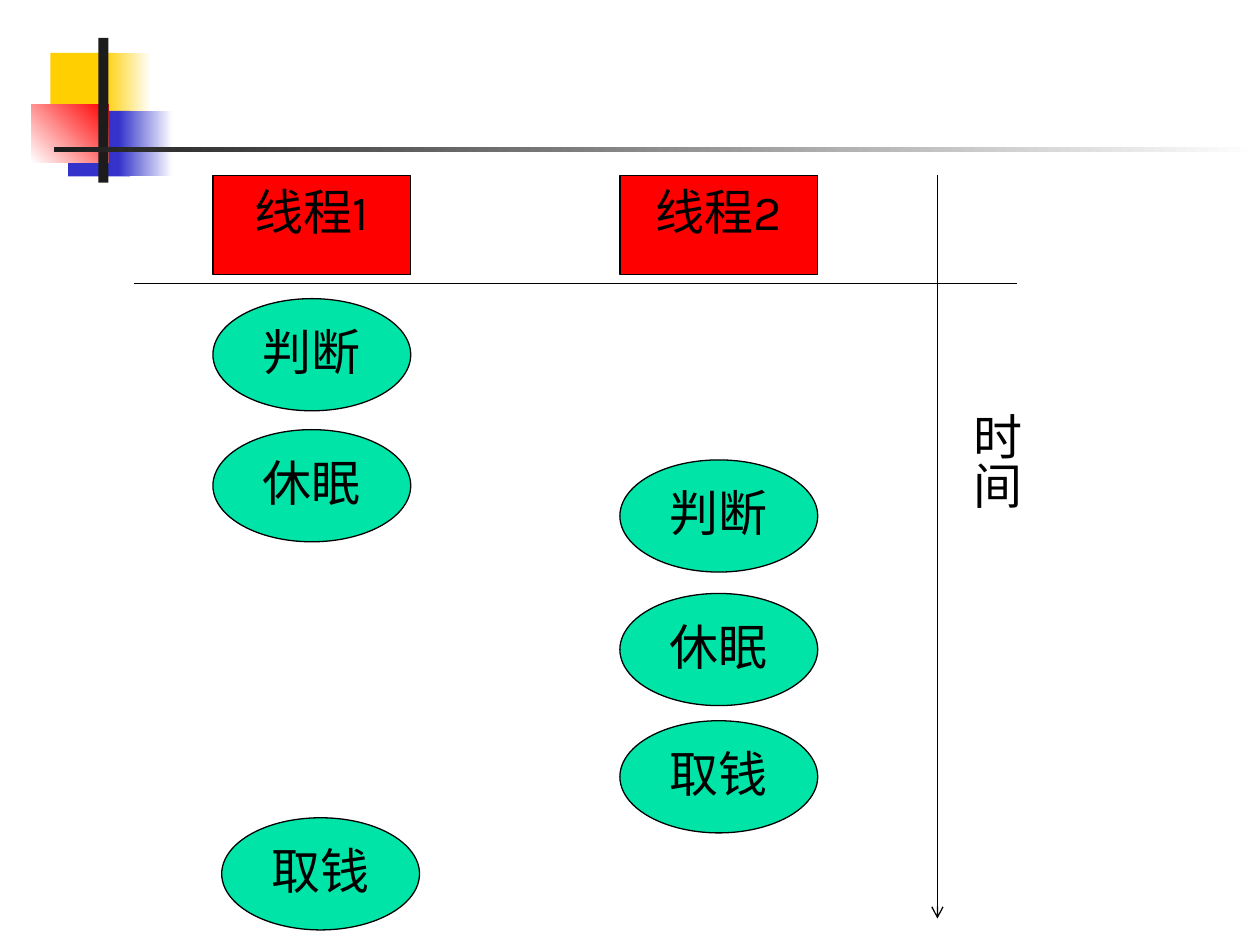
import pptx
import pptx.dml.color
import pptx.enum.shapes
import pptx.enum.text
import pptx.oxml
import pptx.util

PX = 9144
FONT = "Karla"
RGB = pptx.dml.color.RGBColor
BLACK = RGB(0x00, 0x00, 0x00)
WHITE = RGB(0xFF, 0xFF, 0xFF)
RED = RGB(0xFF, 0x00, 0x00)
GREEN = RGB(0x00, 0xE4, 0xA8)
YELLOW = RGB(0xFF, 0xCF, 0x01)
BLUE = RGB(0x33, 0x33, 0xCC)
DARK = RGB(0x1C, 0x1C, 0x1C)
SHAPES = pptx.enum.shapes.MSO_SHAPE
ALIGN = pptx.enum.text.PP_ALIGN
DRAWING = "http://schemas.openxmlformats.org/drawingml/2006/main"


def px(*lengths):
    """Turn lengths in px into EMU."""
    return [pptx.util.Emu(length * PX) for length in lengths]


def write_text(shape, text, size=28, color=BLACK, align=ALIGN.LEFT, margins=(10, 5, 10, 5)):
    """Write one unwrapped paragraph at the top of a shape."""
    frame = shape.text_frame
    frame.word_wrap = False
    frame.vertical_anchor = pptx.enum.text.MSO_ANCHOR.TOP
    frame.margin_left, frame.margin_top, frame.margin_right, frame.margin_bottom = px(*margins)
    para = frame.paragraphs[0]
    para.alignment = align
    span = para.add_run()
    span.text = text
    span.font.name = FONT
    span.font.size = pptx.util.Pt(size)
    span.font.color.rgb = color


def add_block(page, kind, box, colors, angle=0, outlined=False):
    """Add a shape with a solid fill, or a gradient when given two colours."""
    shape = page.shapes.add_shape(kind, *px(*box))
    shape.shadow.inherit = False
    if len(colors) == 1:
        shape.fill.solid()
        shape.fill.fore_color.rgb = colors[0]
    else:
        shape.fill.gradient()
        shape.fill.gradient_angle = angle
        for stop, color in zip(shape.fill.gradient_stops, colors):
            stop.color.rgb = color
    if outlined:
        shape.line.color.rgb = BLACK
        shape.line.width = pptx.util.Pt(0.75)
    else:
        shape.line.fill.background()
    return shape


def add_line(page, start, end, arrow=False):
    """Add a thin black line, with an arrowhead at its end if asked."""
    straight = pptx.enum.shapes.MSO_CONNECTOR.STRAIGHT
    line = page.shapes.add_connector(straight, *px(*start, *end))
    line.line.color.rgb = BLACK
    line.line.width = pptx.util.Pt(0.75)
    if arrow:
        head = pptx.oxml.parse_xml(f'<a:tailEnd xmlns:a="{DRAWING}" type="arrow"/>')
        line.line._get_or_add_ln().append(head)
    line._element.spPr.append(pptx.oxml.parse_xml(f'<a:effectLst xmlns:a="{DRAWING}"/>'))


def add_ornament(page, left, top):
    """Place the coloured squares and the two bars of the heading."""
    parts = [
        ((15, 12, 51, 52), [YELLOW], 0),
        ((57, 12, 38, 52), [YELLOW, WHITE], 0),
        ((29, 58, 49, 52), [BLUE], 0),
        ((69, 58, 43, 52), [BLUE, WHITE], 0),
        ((0, 53, 61, 46), [WHITE, RED], 45),
        ((53, 0, 8, 115), [DARK], 0),
        ((18, 87, 957, 4), [DARK, WHITE], 0),
    ]
    for (x, y, width, height), colors, angle in parts:
        box = (left + x, top + y, width, height)
        add_block(page, SHAPES.RECTANGLE, box, colors, angle)


def add_thread(page, left, top, title, steps):
    """Place a thread heading and its steps, each given as text, x and y."""
    heading = add_block(page, SHAPES.RECTANGLE, (left, top, 157, 79), [RED], outlined=True)
    write_text(heading, title, align=ALIGN.CENTER)
    for text, x, y in steps:
        box = (left + x, top + y, 157, 89)
        step = add_block(page, SHAPES.OVAL, box, [GREEN], outlined=True)
        write_text(step, text, align=ALIGN.CENTER)


def add_time_axis(page, left, top, height):
    """Place the downward time arrow and its vertical label."""
    add_line(page, (left, top), (left, top + height), arrow=True)
    label = page.shapes.add_textbox(*px(left + 9, top + 178, 66, 88))
    write_text(label, "时间", margins=(5, 10, 5, 10))
    label.text_frame.auto_size = pptx.enum.text.MSO_AUTO_SIZE.SHAPE_TO_FIT_TEXT
    label.text_frame._txBody.bodyPr.set("vert", "eaVert")


def main():
    """Build the slide and save the deck."""
    deck = pptx.Presentation()
    deck.slide_width, deck.slide_height = px(1000, 750)
    page = deck.slides.add_slide(deck.slide_layouts[6])
    add_ornament(page, 25, 30)
    add_line(page, (106, 225), (807, 225))
    add_time_axis(page, 744, 139, 590)
    add_thread(page, 169, 139, "线程1", [("判断", 0, 98), ("休眠", 0, 202), ("取钱", 7, 510)])
    add_thread(page, 492, 139, "线程2", [("判断", 0, 226), ("休眠", 0, 332), ("取钱", 0, 433)])
    deck.save("out.pptx")


if __name__ == "__main__":
    main()
